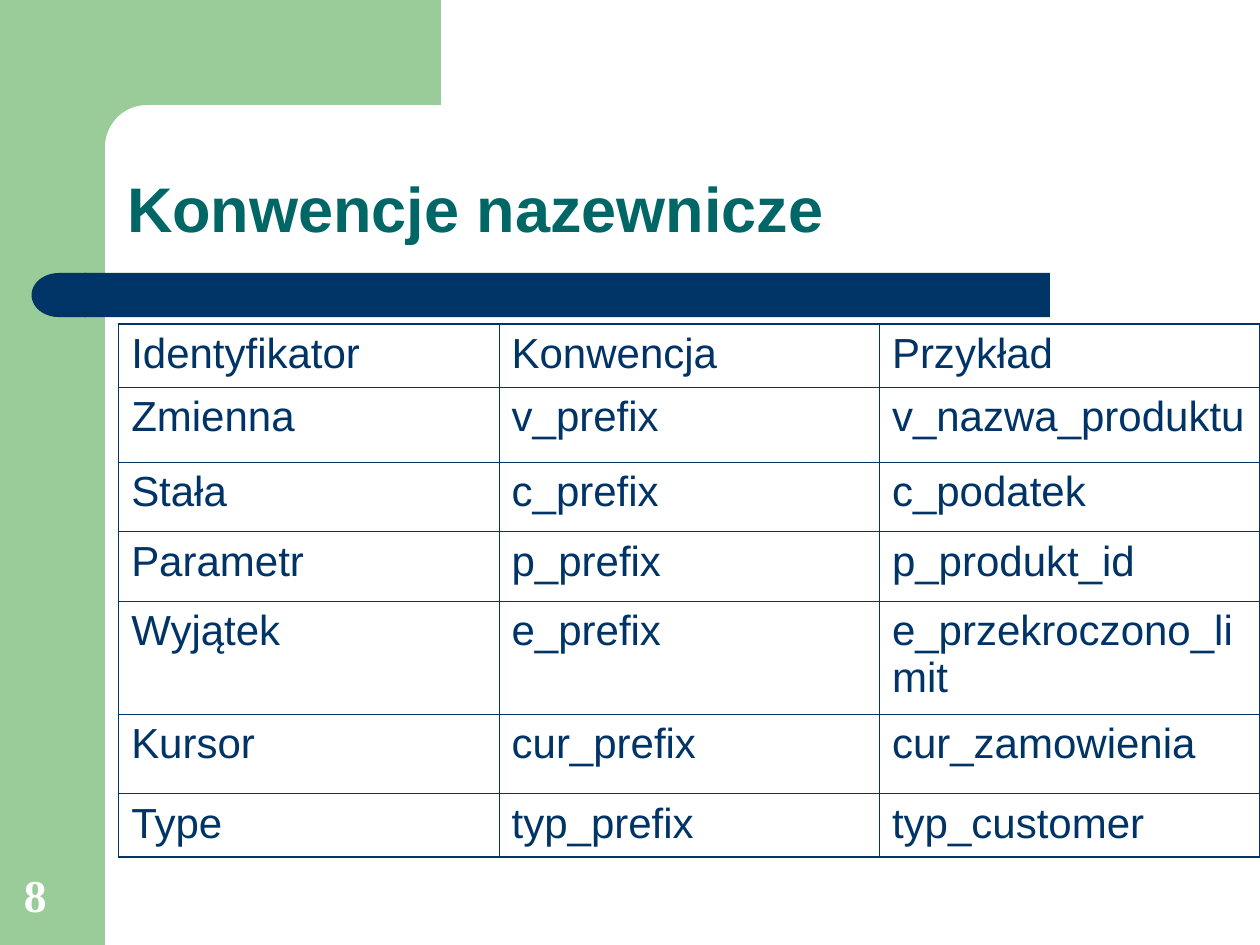
import math

from lxml import etree
from pptx import Presentation
from pptx import util as u
from pptx.dml.color import RGBColor
from pptx.enum import shapes, text
from pptx.oxml.ns import qn

GREEN, NAVY, TEAL, WHITE = "99CC99", "003366", "006666", "FFFFFF"
THIN, THICK = 0.45, 1.08

ROWS = [
    ("Identyfikator", "Konwencja", "Przykład"),
    ("Zmienna", "v_prefix", "v_nazwa_produktu"),
    ("Stała", "c_prefix", "c_podatek"),
    ("Parametr", "p_prefix", "p_produkt_id"),
    ("Wyjątek", "e_prefix", "e_przekroczono_limit"),
    ("Kursor", "cur_prefix", "cur_zamowienia"),
    ("Type", "typ_prefix", "typ_customer"),
]
ROW_HEIGHTS = [6, 7.2, 6.6, 6.6, 10.8, 7.56, 6]
COLUMN_WIDTH = 36.23


def color(code):
    return RGBColor.from_string(code)


def grid(count):
    """Length of a number of grid units, twelve to the inch."""
    return u.Inches(count / 12)


class SlideBuilder:
    font = "Arial"

    def __init__(self, deck):
        self.page = deck.slides.add_slide(deck.slide_layouts[6])

    def paint(self, shape, fill):
        shape.fill.solid()
        shape.fill.fore_color.rgb = color(fill)
        shape.line.fill.background()
        shape.shadow.inherit = False

    def block(self, kind, left, top, width, height, fill):
        shape = self.page.shapes.add_shape(kind, *map(grid, (left, top, width, height)))
        self.paint(shape, fill)
        return shape

    def outline(self, points, fill):
        points = [(grid(x), grid(y)) for x, y in points]
        builder = self.page.shapes.build_freeform(*points[0], scale=1)
        builder.add_line_segments(points[1:], close=True)
        self.paint(builder.convert_to_shape(), fill)

    def add_words(self, para, words, size, fill, bold=False, font=None):
        span = para.add_run()
        span.text = words
        span.font.size = u.Pt(size)
        span.font.name = font or self.font
        span.font.bold = bold
        span.font.color.rgb = color(fill)

    def label(self, left, top, width, height, words, size, fill, font=None, spacing=1.0):
        """Bold text that stands on the bottom edge of its box."""
        box = self.page.shapes.add_textbox(*map(grid, (left, top, width, height)))
        frame = box.text_frame
        frame.word_wrap = True
        frame.vertical_anchor = text.MSO_ANCHOR.BOTTOM
        para = frame.paragraphs[0]
        para.line_spacing = spacing
        self.add_words(para, words, size, fill, True, font)

    def border(self, cell, side, width):
        line = etree.SubElement(cell._tc.get_or_add_tcPr(), qn("a:ln" + side), w=str(u.Pt(width)))
        fill = etree.SubElement(line, qn("a:solidFill"))
        etree.SubElement(fill, qn("a:srgbClr"), val=NAVY)

    def table(self, left, top, rows, heights, column_width):
        """Unfilled table with a thick frame and thin inner lines."""
        last_row, last_column = len(rows) - 1, len(rows[0]) - 1
        table = self.page.shapes.add_table(
            len(rows), len(rows[0]), grid(left), grid(top),
            grid(column_width * len(rows[0])), grid(sum(heights))).table
        table.first_row = table.horz_banding = False
        for column in table.columns:
            column.width = grid(column_width)
        for r, (words, height) in enumerate(zip(rows, heights)):
            table.rows[r].height = grid(height)
            for c, word in enumerate(words):
                cell = table.cell(r, c)
                para = cell.text_frame.paragraphs[0]
                para.space_before = u.Pt(6)
                self.add_words(para, word, 24, NAVY)
                outer = {"L": c == 0, "R": c == last_column, "T": r == 0, "B": r == last_row}
                for side, framed in outer.items():
                    self.border(cell, side, THICK if framed else THIN)
                cell.fill.background()


def main():
    deck = Presentation()
    deck.slide_width, deck.slide_height = u.Inches(10), u.Inches(7.5)
    slide = SlideBuilder(deck)
    kinds = shapes.MSO_SHAPE

    slide.block(kinds.RECTANGLE, 0, 0, 10, 90, GREEN)
    angles = [math.radians(step * 7.5) for step in range(13)]
    corner = [(14 - 4 * math.sin(a), 14 - 4 * math.cos(a)) for a in angles]
    slide.outline([(42, 0), (42, 10), *corner, (10, 15.4), (6, 15.4), (6, 0)], GREEN)

    slide.block(kinds.RECTANGLE, 8, 26, 92, 4.2, NAVY)
    bar_end = slide.block(kinds.FLOWCHART_DELAY, 3, 26, 5.2, 4.2, NAVY)
    bar_end.rotation = 180

    slide.label(10.92, 10.92, 102.1, 13.1, "Konwencje nazewnicze", 36, TEAL, spacing=0.9)
    slide.table(11.3, 30.84, ROWS, ROW_HEIGHTS, COLUMN_WIDTH)
    slide.label(1.1, 82, 7.7, 6.4, "8", 26, WHITE, font="Times New Roman")

    deck.save("out.pptx")


if __name__ == "__main__":
    main()
